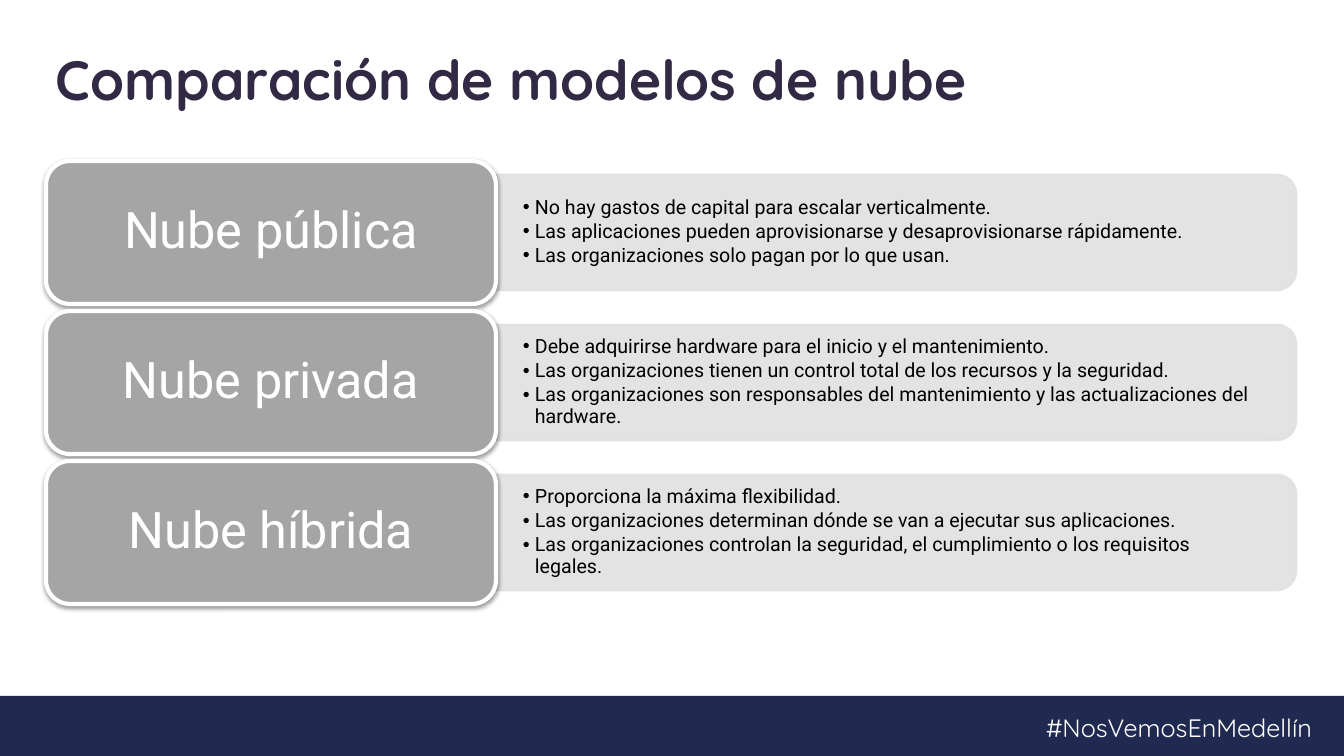
from lxml import etree
from pptx import Presentation
from pptx.dml.color import RGBColor
from pptx.enum.shapes import MSO_SHAPE
from pptx.enum.text import MSO_ANCHOR, MSO_AUTO_SIZE, PP_ALIGN
from pptx.oxml.ns import qn
from pptx.util import Emu, Pt

RECTANGLE = MSO_SHAPE.RECTANGLE
ROUNDED = MSO_SHAPE.ROUNDED_RECTANGLE
TWO_ROUNDED = MSO_SHAPE.ROUND_2_SAME_RECTANGLE
TOP, MIDDLE = MSO_ANCHOR.TOP, MSO_ANCHOR.MIDDLE
LEFT, CENTER = PP_ALIGN.LEFT, PP_ALIGN.CENTER
NO_AUTOFIT = MSO_AUTO_SIZE.NONE

WHITE = RGBColor(0xFF, 0xFF, 0xFF)
BLACK = RGBColor(0x00, 0x00, 0x00)
NAVY = RGBColor(0x20, 0x2A, 0x50)
PLUM = RGBColor(0x32, 0x29, 0x44)
GREY = RGBColor(0xA5, 0xA5, 0xA5)
PALE_GREY = RGBColor(0xE1, 0xE1, 0xE1)

HEADING_FONT, BODY_FONT = "Quicksand", "Roboto"
PX_PER_INCH = 100.8
COMPARISON_LAYOUT = 4
ROW_PITCH = 150

CLOUD_MODELS = [
    ("Nube pública", [
        "No hay gastos de capital para escalar verticalmente.",
        "Las aplicaciones pueden aprovisionarse y desaprovisionarse rápidamente.",
        "Las organizaciones solo pagan por lo que usan.",
    ]),
    ("Nube privada", [
        "Debe adquirirse hardware para el inicio y el mantenimiento.",
        "Las organizaciones tienen un control total de los recursos y la seguridad.",
        "Las organizaciones son responsables del mantenimiento y las "
        "actualizaciones del hardware.",
    ]),
    ("Nube híbrida", [
        "Proporciona la máxima flexibilidad.",
        "Las organizaciones determinan dónde se van a ejecutar sus aplicaciones.",
        "Las organizaciones controlan la seguridad, el cumplimiento o los "
        "requisitos legales.",
    ]),
]


def px(length):
    return Emu(round(length * 914400 / PX_PER_INCH))


class SlideBuilder:
    def __init__(self, slide):
        self.slide = slide

    def place(self, shape, left, top, width, height):
        shape.left, shape.top = px(left), px(top)
        shape.width, shape.height = px(width), px(height)

    def set_text(self, shape, lines, font, size, color, align=LEFT, bold=False,
                 anchor=MIDDLE, margins=(10, 5), wrap=True, spacing=0.9,
                 after=0, bulleted=False):
        frame = shape.text_frame
        frame.text = "\n".join(lines)
        frame.word_wrap = wrap
        frame.auto_size = NO_AUTOFIT
        frame.vertical_anchor = anchor
        frame.margin_left = frame.margin_right = px(margins[0])
        frame.margin_top = frame.margin_bottom = px(margins[1])
        for paragraph in frame.paragraphs:
            if bulleted:
                self.bullet(paragraph)
            paragraph.alignment = align
            paragraph.line_spacing = spacing
            paragraph.space_before = Pt(0)
            paragraph.space_after = Pt(after)
            for run in paragraph.runs:
                run.font.name = font
                run.font.size = Pt(size)
                run.font.bold = bold
                run.font.color.rgb = color

    def bullet(self, paragraph):
        properties = paragraph._p.get_or_add_pPr()
        properties.set("marL", str(px(12)))
        properties.set("indent", str(-px(12)))
        etree.SubElement(properties, qn("a:buChar"), char="•")

    def title(self, text, *box):
        heading = self.slide.shapes.title
        self.place(heading, *box)
        self.set_text(heading, [text], HEADING_FONT, 39.6, PLUM, bold=True,
                      anchor=TOP)

    def block(self, kind, fill, left, top, width, height):
        shape = self.slide.shapes.add_shape(
            kind, px(left), px(top), px(width), px(height))
        shape.shadow.inherit = False
        shape.fill.solid()
        shape.fill.fore_color.rgb = fill
        shape.line.fill.background()
        return shape

    def panel(self, left, top, width, height):
        # A quarter turn puts the two rounded corners on the right
        shift = (width - height) / 2
        panel = self.block(TWO_ROUNDED, PALE_GREY,
                           left + shift, top - shift, height, width)
        panel.rotation = 90
        panel.line.color.rgb = PALE_GREY
        panel.line.width = Pt(2)
        for color in panel._element.spPr.iter(qn("a:srgbClr")):
            etree.SubElement(color, qn("a:alpha"), val="90000")

    def card(self, text, *box):
        card = self.block(ROUNDED, GREY, *box)
        card.line.color.rgb = WHITE
        card.line.width = Pt(3)
        effects = card._element.spPr.find(qn("a:effectLst"))
        shadow = etree.SubElement(
            effects, qn("a:outerShdw"), blurRad=str(Pt(3.1)), dist=str(Pt(1.6)),
            dir="5400000", rotWithShape="0")
        color = etree.SubElement(shadow, qn("a:srgbClr"), val=str(BLACK))
        etree.SubElement(color, qn("a:alpha"), val="38000")
        self.set_text(card, [text], BODY_FONT, 36, WHITE, align=CENTER,
                      margins=(22, 14))

    def bullets(self, index, lines, *box):
        body = self.slide.placeholders[index]
        body.element.getparent().append(body.element)  # bring above its panel
        self.place(body, *box)
        self.set_text(body, lines, BODY_FONT, 14, BLACK, margins=(27, 14),
                      after=2.1, bulleted=True)

    def label(self, text, *box):
        label = self.slide.shapes.add_textbox(*map(px, box))
        self.set_text(label, [text], HEADING_FONT, 18, WHITE, anchor=TOP,
                      wrap=False, spacing=1.0)


def main():
    deck = Presentation()
    deck.slide_width, deck.slide_height = px(1344), px(756)
    slide = deck.slides.add_slide(deck.slide_layouts[COMPARISON_LAYOUT])
    builder = SlideBuilder(slide)

    # Footer band and heading
    builder.block(RECTANGLE, NAVY, 0, 696, 1344, 60)
    builder.label("#NosVemosEnMedellín", 1036, 707, 308, 40)
    builder.title("Comparación de modelos de nube", 46, 48, 1250, 75)

    # One row per cloud model
    for row, (model, traits) in enumerate(CLOUD_MODELS):
        offset = row * ROW_PITCH
        builder.panel(496, 175 + offset, 800, 115)
        builder.bullets(row + 1, traits, 496, 180 + offset, 794, 104)
        builder.card(model, 46, 161 + offset, 450, 143)

    # The layout has one more body than there are models
    spare = slide.placeholders[len(CLOUD_MODELS) + 1].element
    spare.getparent().remove(spare)

    deck.save("out.pptx")


if __name__ == "__main__":
    main()
